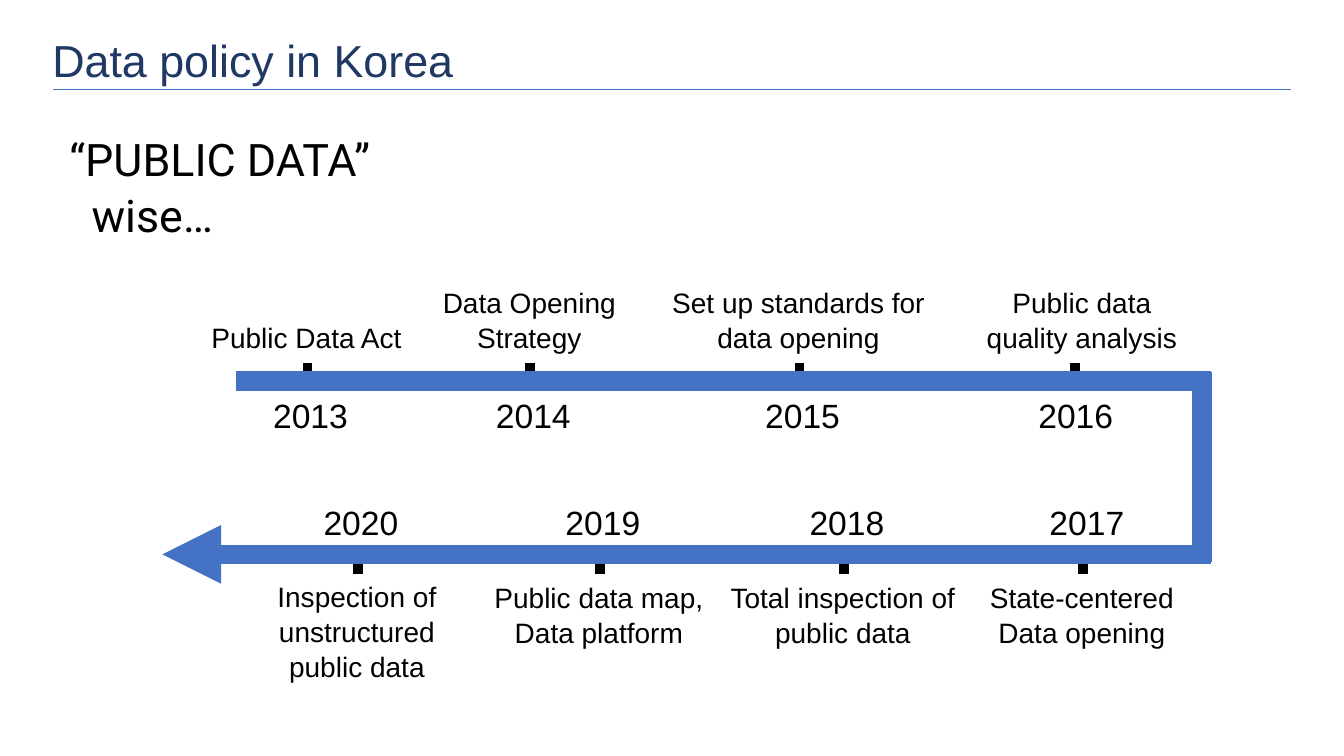
import pptx
import pptx.util
import pptx.dml.color
import pptx.enum.shapes
import pptx.enum.text
import pptx.oxml.ns
import lxml.etree

COLORS = {"title": "203864", "blue": "4472C4", "black": "000000"}
COLUMNS, ROWS = 13.33, 7.5

presentation = pptx.Presentation()
presentation.slide_width = pptx.util.Inches(COLUMNS)
presentation.slide_height = pptx.util.Inches(ROWS)
slide = presentation.slides.add_slide(presentation.slide_layouts[6])
column = presentation.slide_width / COLUMNS
row = presentation.slide_height / ROWS


def add_text(text, left, top, width, height, size=20, color="black",
             font="Arial", align="CENTER", anchor="MIDDLE"):
    box = slide.shapes.add_textbox(round(left * column), round(top * row),
                                   round(width * column), round(height * row))
    frame = box.text_frame
    frame.word_wrap = True
    frame.vertical_anchor = getattr(pptx.enum.text.MSO_ANCHOR, anchor)
    frame.text = text
    for paragraph in frame.paragraphs:
        paragraph.alignment = getattr(pptx.enum.text.PP_ALIGN, align)
        paragraph.line_spacing = 1.04
        paragraph.font.size = pptx.util.Pt(size)
        paragraph.font.name = font
        paragraph.font.color.rgb = pptx.dml.color.RGBColor.from_string(COLORS[color])
    return frame


def add_line(start_x, start_y, end_x, end_y, color, weight):
    line = slide.shapes.add_connector(
        pptx.enum.shapes.MSO_CONNECTOR.STRAIGHT,
        round(start_x * column), round(start_y * row),
        round(end_x * column), round(end_y * row))
    line.line.color.rgb = pptx.dml.color.RGBColor.from_string(COLORS[color])
    line.line.width = pptx.util.Pt(weight)
    properties = line.line._get_or_add_ln().getparent()
    lxml.etree.SubElement(properties, pptx.oxml.ns.qn("a:effectLst"))
    return line


# Title and rule
add_text("Data policy in Korea", 0.42, 0.25, 6.95, 0.64, size=32,
         color="title", align="LEFT", anchor="TOP")
add_line(0.53, 0.89, 12.8, 0.89, "blue", 0.5)

# Subtitle with an indented second line
subtitle = add_text("“PUBLIC DATA”\nwise…", 0.59, 1.31, 3.94, 1.06,
                    size=32, font="Roboto", align="LEFT")
subtitle.paragraphs[1]._p.get_or_add_pPr().set("marL", str(round(0.22 * column)))

# Timeline rows: tick top, year centre, two-line label centre, shift per line
YEAR_WIDTH, YEAR_HEIGHT = 1.07, 0.31
LABEL_WIDTH, LABEL_HEIGHT = 2.85, 0.52
timeline = [
    (3.6, 4.11, 3.17, -0.17, [
        # year, tick x, year x, label x, label, number of lines
        ("2013", 3.05, 3.08, 3.04, "Public Data Act", 1),
        ("2014", 5.26, 5.29, 5.25, "Data Opening\nStrategy", 2),
        ("2015", 7.93, 7.96, 7.92, "Set up standards for data opening", 2),
        ("2016", 10.66, 10.67, 10.73, "Public data\nquality analysis", 2),
    ]),
    (5.52, 5.17, 6.09, 0.17, [
        ("2017", 10.74, 10.78, 10.73, "State-centered\nData opening", 2),
        ("2018", 8.37, 8.4, 8.36, "Total inspection of\npublic data", 2),
        ("2019", 5.95, 5.98, 5.94, "Public data map,\nData platform", 2),
        ("2020", 3.55, 3.58, 3.54, "Inspection of unstructured\npublic data", 3),
    ]),
]
for tick_top, year_y, label_y, shift, events in timeline:
    for year, tick_x, year_x, label_x, label, lines in events:
        add_line(tick_x, tick_top, tick_x, tick_top + 0.17, "black", 7)
        add_text(year, year_x - YEAR_WIDTH / 2, year_y - YEAR_HEIGHT / 2,
                 YEAR_WIDTH, YEAR_HEIGHT, size=24)
        add_text(label, label_x - LABEL_WIDTH / 2,
                 label_y + shift * (lines - 2) - LABEL_HEIGHT / 2,
                 LABEL_WIDTH, LABEL_HEIGHT)

# Blue path: along the top, down the right side, back to the left
add_line(2.34, 3.78, 12.01, 3.78, "blue", 14)
add_line(11.92, 3.69, 11.92, 5.58, "blue", 14)
arrow = add_line(1.61, 5.5, 12.01, 5.5, "blue", 14)
lxml.etree.SubElement(arrow.line._get_or_add_ln(),
                      pptx.oxml.ns.qn("a:headEnd"), type="triangle")

presentation.save("out.pptx")
